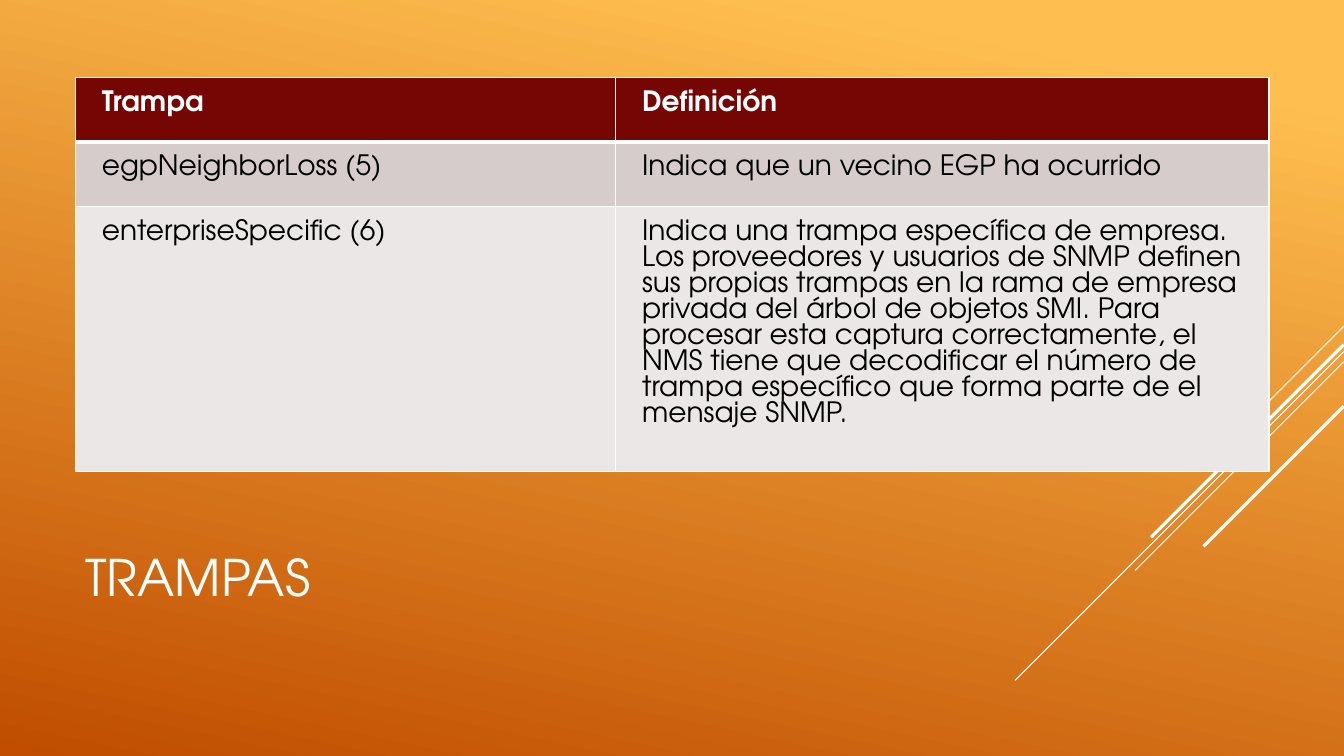
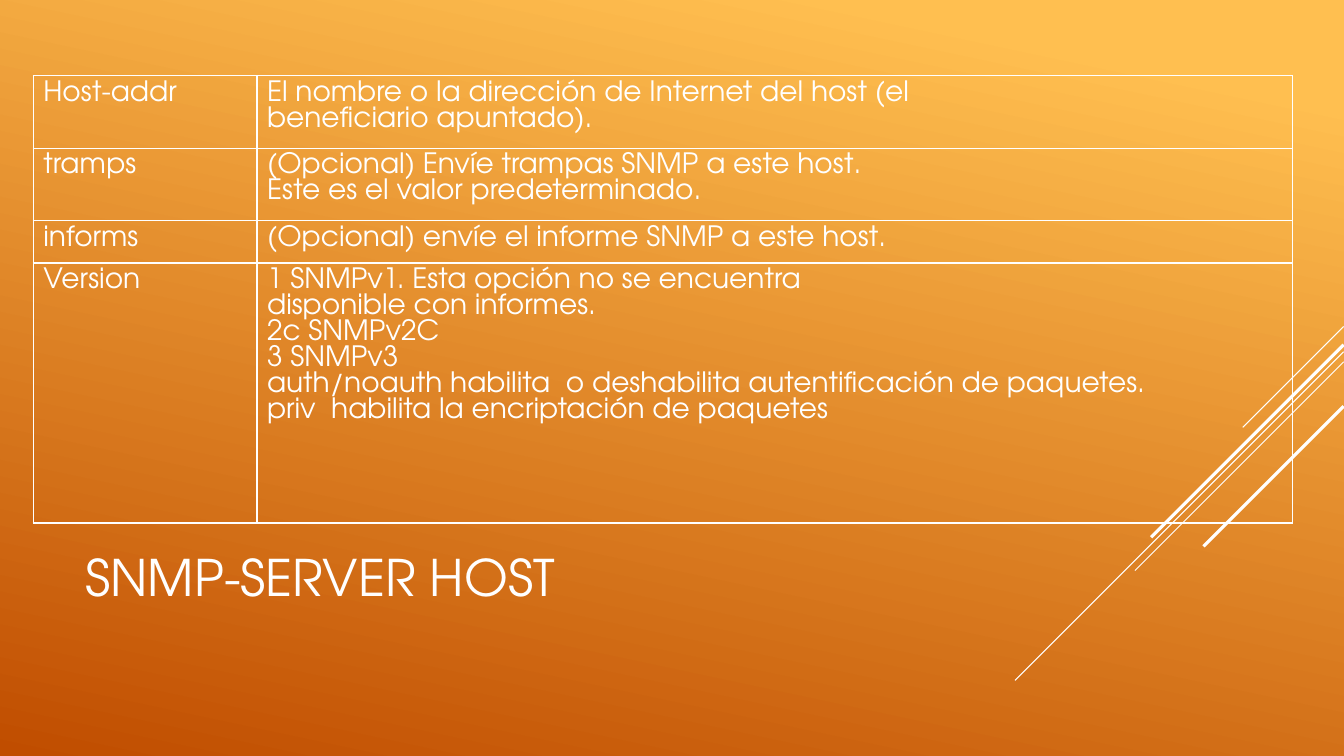
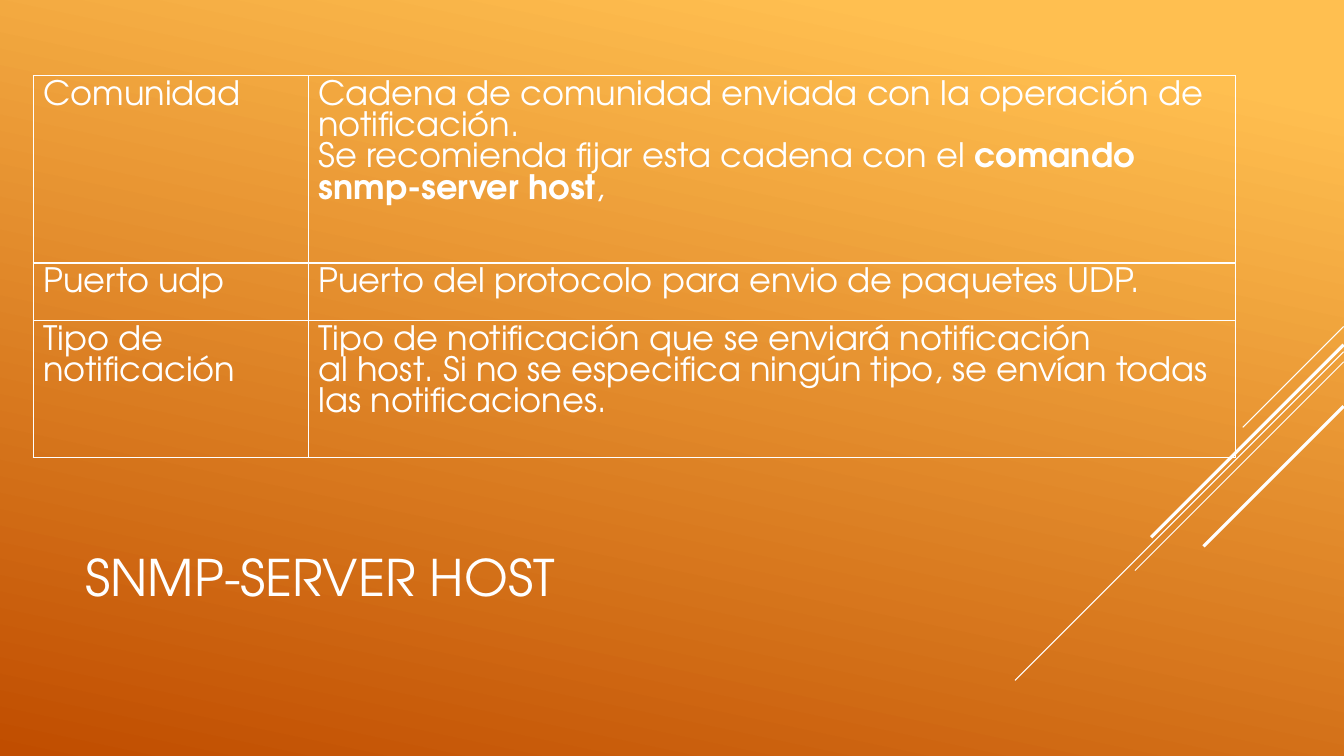
from dataclasses import dataclass
from lxml import etree
from pptx import Presentation
from pptx import util as u
from pptx.dml.color import RGBColor
from pptx.enum import shapes, text
from pptx.oxml import ns

PX = 9144


@dataclass(frozen=True)
class Theme:
    """Colours, font and type sizes."""
    font: str = "TeX Gyre Adventor"
    white: str = "FFFFFF"
    black: str = "000000"
    glow: str = "FFBF50"
    rust: str = "C04D00"
    head: str = "760603"
    bands: tuple = ("D6CCCC", "ECE7E7")
    title: int = 36
    large: int = 24
    body: int = 20
    lead: float = 0.93
    thin: float = 0.75
    thick: float = 2.25
    edge: int = 1
    rule: int = 3


class Deck:
    """Builds slides in one style."""

    def __init__(self, theme):
        """Start a deck with the shared background."""
        self.theme = theme
        self.prs = Presentation()
        self.prs.slide_width, self.prs.slide_height = u.Emu(12192000), u.Emu(750 * PX)
        fill = self.prs.slide_master.background.fill
        fill.gradient()
        fill.gradient_angle = 258
        stops = zip(fill.gradient_stops, (theme.glow, theme.rust), (0.1, 1))
        for stop, color, place in stops:
            stop.color.rgb = RGBColor.from_string(color)
            stop.position = place

    def slide(self, title):
        """Add a slide with its rays and title."""
        t = self.theme
        self.page = self.prs.slides.add_slide(self.prs.slide_layouts[6])
        for top, run, width in ((324, 100, t.thin), (349, 326, t.thin), (359, 207, t.thin),
                                (342, 191, t.thick), (403, 139, t.thick)):
            self.ray(top, run, width)
        self.title(title)

    def ray(self, top, run, width):
        """Draw a diagonal line from the right edge."""
        ends = [v * PX for v in (1333, top, 1333 - run, top + run)]
        line = self.page.shapes.add_connector(shapes.MSO_CONNECTOR.STRAIGHT, *ends)
        line.line.color.rgb = RGBColor.from_string(self.theme.white)
        line.line.width = u.Pt(width)
        etree.SubElement(line._element.spPr, ns.qn("a:effectLst"))

    def title(self, words):
        """Set the slide title."""
        box = self.page.shapes.add_textbox(*(v * PX for v in (75, 491, 933, 165)))
        frame = box.text_frame
        frame.word_wrap = True
        frame.vertical_anchor = text.MSO_ANCHOR.MIDDLE
        self.words(frame, words, self.theme.title, self.theme.white, lead=1.14)

    def words(self, frame, words, size, color, bold=False, lead=None):
        """Fill a frame line by line; asterisks mark bold parts."""
        for i, line in enumerate(words.split("\n")):
            para = frame.add_paragraph() if i else frame.paragraphs[0]
            para.line_spacing = u.Pt(round(size * (lead or self.theme.lead), 1))
            font = para.font
            font.name, font.size, font.bold = self.theme.font, u.Pt(size), bold
            font.color.rgb = RGBColor.from_string(color)
            for j, part in enumerate(line.split("*")):
                if part:
                    run = para.add_run()
                    run.text = part
                    if j % 2:
                        run.font.bold = True

    def border(self, cell, top, base):
        """Draw the four sides of a cell."""
        props = cell._tc.get_or_add_tcPr()
        edge = self.theme.edge
        for side, width in zip("LRTB", (edge, edge, top, base)):
            line = etree.SubElement(props, ns.qn(f"a:ln{side}"), w=str(u.Pt(width)))
            fill = etree.SubElement(line, ns.qn("a:solidFill"))
            etree.SubElement(fill, ns.qn("a:srgbClr"), val=self.theme.white)

    def table(self, left, top, cols, rows, data, size, banded=False):
        """Add a table, either outlined or with a header and bands."""
        t = self.theme
        area = (left, top, sum(cols), sum(rows))
        grid = self.page.shapes.add_table(len(rows), len(cols), *(v * PX for v in area)).table
        grid.first_row = grid.horz_banding = False
        for col, width in zip(grid.columns, cols):
            col.width = u.Emu(width * PX)
        for r, (row, height, line) in enumerate(zip(grid.rows, rows, data)):
            row.height = u.Emu(height * PX)
            head = banded and r == 0
            for cell, words in zip(row.cells, line):
                self.border(cell, t.rule if banded and r == 1 else t.edge,
                            t.rule if head else t.edge)
                if banded:
                    cell.margin_left, cell.margin_right = u.Emu(26 * PX), u.Emu(11 * PX)
                    cell.margin_top = cell.margin_bottom = u.Emu(13 * PX)
                    cell.fill.solid()
                    shade = t.head if head else t.bands[(r - 1) % 2]
                    cell.fill.fore_color.rgb = RGBColor.from_string(shade)
                else:
                    cell.fill.background()
                color = t.black if banded and not head else t.white
                self.words(cell.text_frame, words, size, color, head)


TRAPS = (
    ("Trampa", "Definición"),
    ("egpNeighborLoss (5)", "Indica que un vecino EGP ha ocurrido"),
    ("enterpriseSpecific (6)",
     "Indica una trampa específica de empresa. Los proveedores y usuarios de SNMP "
     "definen sus propias trampas en la rama de empresa privada del árbol de objetos "
     "SMI. Para procesar esta captura correctamente, el NMS tiene que decodificar el "
     "número de trampa específico que forma parte de el mensaje SNMP."),
)
HOST = (
    ("Host-addr", "El nombre o la dirección de Internet del host (el\nbeneficiario apuntado)."),
    ("tramps", "(Opcional) Envíe trampas SNMP a este host.\nEste es el valor predeterminado."),
    ("informs", "(Opcional) envíe el informe SNMP a este host."),
    ("Version",
     "1 SNMPv1. Esta opción no se encuentra\ndisponible con informes.\n"
     "2c SNMPv2C\n3 SNMPv3\n"
     "auth/noauth habilita  o deshabilita autentificación de paquetes.\n"
     "priv  habilita la encriptación de paquetes"),
)
NOTICE = (
    ("Comunidad",
     "Cadena de comunidad enviada con la operación de notificación.\n"
     "Se recomienda fijar esta cadena con el *comando*\n*snmp-server host*,"),
    ("Puerto udp", "Puerto del protocolo para envio de paquetes UDP."),
    ("Tipo de notificación",
     "Tipo de notificación que se enviará notificación\n"
     "al host. Si no se especifica ningún tipo, se envían todas las notificaciones."),
)


def main():
    """Build and save the deck."""
    theme = Theme()
    deck = Deck(theme)
    deck.slide("TRAMPAS")
    deck.table(75, 77, (536, 648), (64, 64, 263), TRAPS, theme.body, banded=True)
    deck.slide("SNMP-SERVER HOST")
    deck.table(33, 75, (222, 1027), (72, 72, 42, 258), HOST, theme.body)
    deck.slide("SNMP-SERVER HOST")
    deck.table(33, 75, (273, 920), (186, 57, 136), NOTICE, theme.large)
    deck.prs.save("out.pptx")


if __name__ == "__main__":
    main()
